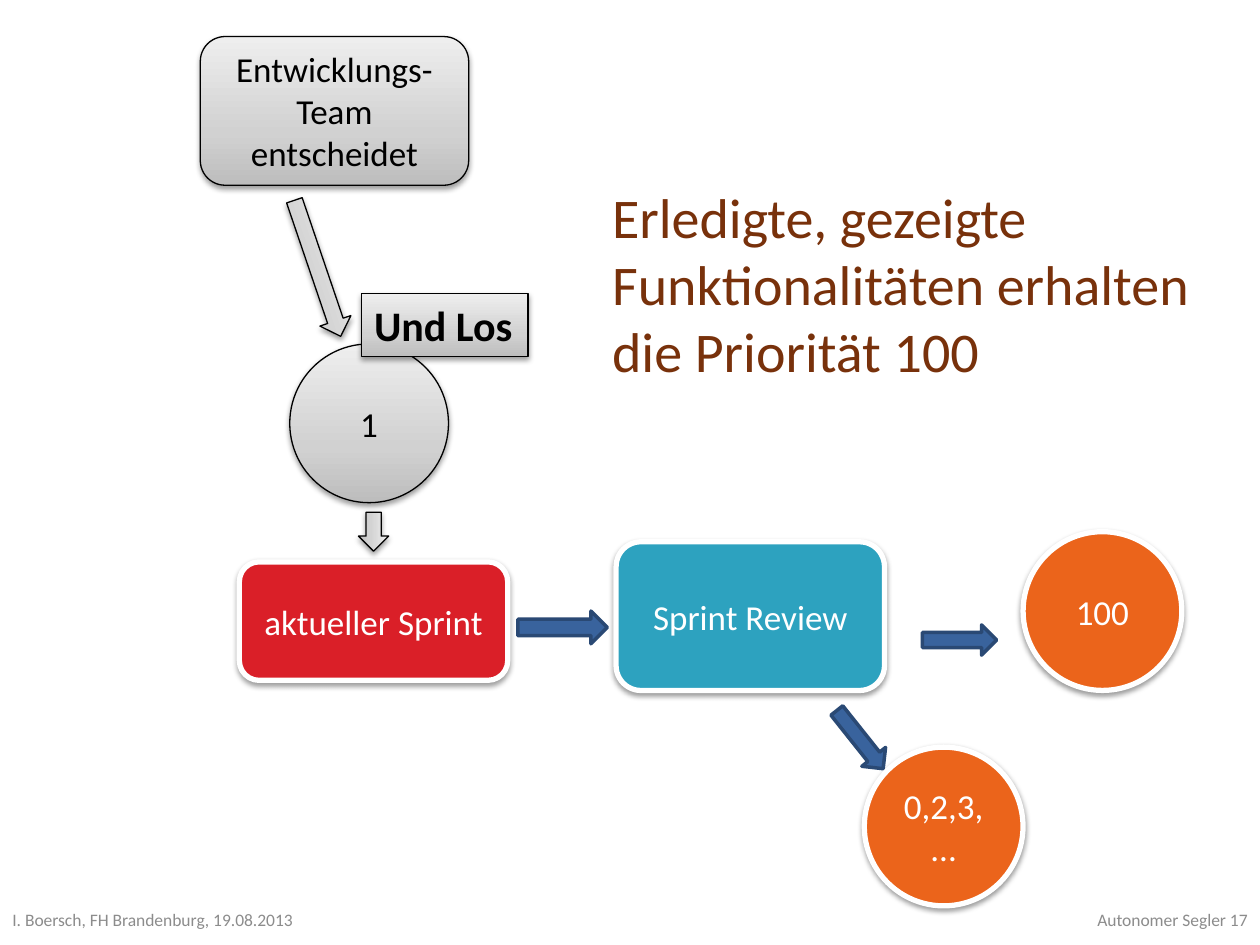
from copy import deepcopy

from lxml.etree import SubElement
from pptx import Presentation
from pptx.dml.color import RGBColor
from pptx.enum.shapes import MSO_SHAPE as Preset
from pptx.enum.text import MSO_ANCHOR as Anchor, MSO_AUTO_SIZE as AutoSize, PP_ALIGN as Align
from pptx.oxml.ns import qn
from pptx.util import Inches, Pt

COLORS = {
    "black": "000000", "white": "FFFFFF", "footer": "8C8C8C", "title": "78310B",
    "red": "DA1F28", "teal": "2DA2BF", "orange": "EB641B",
    "arrow": "39639D", "arrow_line": "2A4974",
}
GRAY_STOPS = [(0, "BDBDBD"), (0.35, "D1D1D1"), (1, "EEEEEE")]
BOX_SIZE = (2.13, 1.18)
CIRCLE_SIZE = (1.26, 1.26)
SMALL_ARROW = (0.59, 0.24)


class FlowSlide:
    font = "Calibri"

    def __init__(self, slide):
        self.shapes = slide.shapes

    def color(self, name):
        return RGBColor.from_string(COLORS[name])

    def set_text(self, shape, lines, size, color, align, anchor=Anchor.MIDDLE, bold=False):
        frame = shape.text_frame
        frame.word_wrap = True
        frame.vertical_anchor = anchor
        frame.text = "\n".join(lines)
        for para in frame.paragraphs:
            para.alignment = align
            para.font.name = self.font
            para.font.size = Pt(size)
            para.font.bold = bold
            para.font.color.rgb = self.color(color)

    def text(self, at, content, size, color, align=Align.LEFT):
        box = self.shapes.add_textbox(*map(Inches, at))
        self.set_text(box, [content], size, color, align)

    def shape(self, preset, position, size, fill, line, width, shadow=True):
        shape = self.shapes.add_shape(preset, *map(Inches, position + size))
        shape.shadow.inherit = False
        if fill == "gray":
            self.gray_gradient(shape)
        else:
            shape.fill.solid()
            shape.fill.fore_color.rgb = self.color(fill)
        shape.line.color.rgb = self.color(line)
        shape.line.width = Pt(width)
        if shadow:
            self.drop_shadow(shape)
        return shape

    def gray_gradient(self, shape):
        """Fill from light at the top to dark at the bottom."""
        shape.fill.gradient()
        shape.fill.gradient_angle = 90
        stop_list = shape._element.spPr.find(qn("a:gradFill")).find(qn("a:gsLst"))
        stop_list.insert(1, deepcopy(stop_list[0]))
        for stop, (position, value) in zip(shape.fill.gradient_stops, GRAY_STOPS):
            stop.position = position
            stop.color.rgb = RGBColor.from_string(value)

    def drop_shadow(self, shape):
        effects = shape._element.spPr.find(qn("a:effectLst"))
        outer = SubElement(effects, qn("a:outerShdw"), blurRad="40000", dist="20000",
                           dir="5400000", rotWithShape="0")
        tint = SubElement(outer, qn("a:srgbClr"), val=COLORS["black"])
        SubElement(tint, qn("a:alpha"), val="38000")

    def gray_node(self, preset, position, size, *lines):
        node = self.shape(preset, position, size, "gray", "black", 0.75)
        self.set_text(node, lines, 20, "black", Align.CENTER)

    def color_node(self, preset, position, size, fill, label):
        node = self.shape(preset, position, size, fill, "white", 3)
        self.set_text(node, [label], 20, "white", Align.CENTER)

    def tag(self, position, size, label):
        tag = self.shape(Preset.RECTANGLE, position, size, "gray", "black", 0.75)
        self.set_text(tag, [label], 24, "black", Align.LEFT, Anchor.TOP, bold=True)
        tag.text_frame.word_wrap = False
        tag.text_frame.auto_size = AutoSize.SHAPE_TO_FIT_TEXT

    def gray_arrow(self, position, size, rotation):
        arrow = self.shape(Preset.RIGHT_ARROW, position, size, "gray", "black", 0.75)
        arrow.rotation = rotation

    def blue_arrow(self, position, size, rotation=0):
        arrow = self.shape(Preset.RIGHT_ARROW, position, size, "arrow", "arrow_line", 2, shadow=False)
        arrow.rotation = rotation


def main():
    deck = Presentation()
    deck.slide_width, deck.slide_height = Inches(10), Inches(7.5)
    flow = FlowSlide(deck.slides.add_slide(deck.slide_layouts[6]))

    flow.text((7.76, 7.1, 2.24, 0.4), "Autonomer Segler 17", 10, "footer", Align.RIGHT)
    flow.text((0, 7.1, 3.9, 0.4), "I. Boersch, FH Brandenburg, 19.08.2013", 10, "footer")

    flow.gray_node(Preset.ROUNDED_RECTANGLE, (1.59, 0.29), BOX_SIZE, "Entwicklungs-Team", "entscheidet")
    flow.gray_node(Preset.OVAL, (2.3, 2.73), CIRCLE_SIZE, "1")
    flow.color_node(Preset.ROUNDED_RECTANGLE, (1.9, 4.46), (2.13, 0.94), "red", "aktueller Sprint")
    flow.gray_arrow((1.95, 2), (1.14, 0.26), 71.2)
    flow.gray_arrow((2.81, 4.1), (0.31, 0.24), 90)
    flow.tag((2.87, 2.33), (1.32, 0.5), "Und Los")

    flow.text((4.76, 1.7, 4.8, 1.09),
              "Erledigte, gezeigte Funktionalitäten erhalten die Priorität 100", 32, "title")

    flow.color_node(Preset.OVAL, (8.12, 4.22), CIRCLE_SIZE, "orange", "100")
    flow.color_node(Preset.OVAL, (6.86, 5.93), CIRCLE_SIZE, "orange", "0,2,3, ...")
    flow.blue_arrow((4.11, 4.85), (0.71, 0.26))
    flow.color_node(Preset.ROUNDED_RECTANGLE, (4.89, 4.3), BOX_SIZE, "teal", "Sprint Review")
    flow.blue_arrow((6.53, 5.75), SMALL_ARROW, 51.5)
    flow.blue_arrow((7.32, 4.96), SMALL_ARROW)

    deck.save("out.pptx")


if __name__ == "__main__":
    main()
